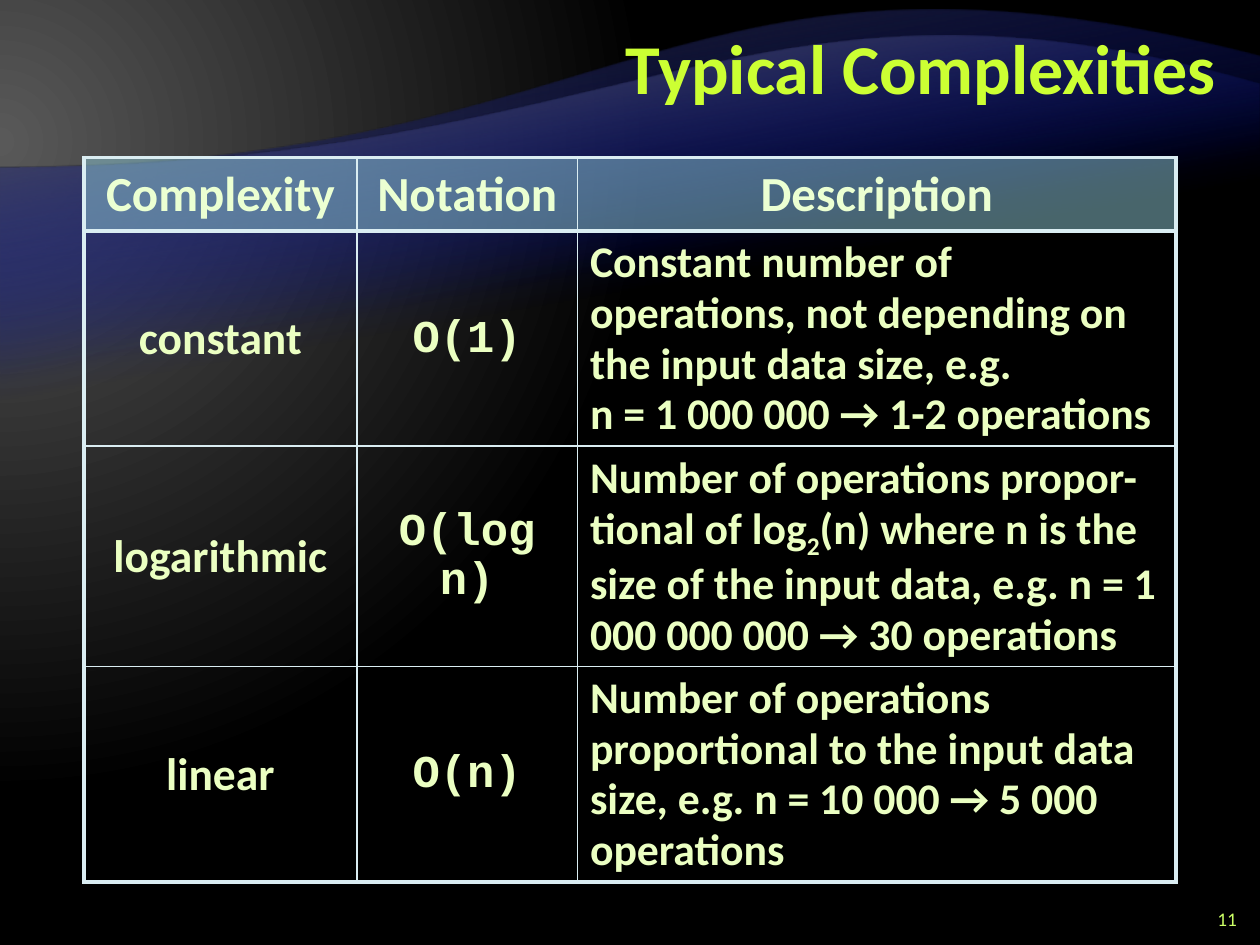
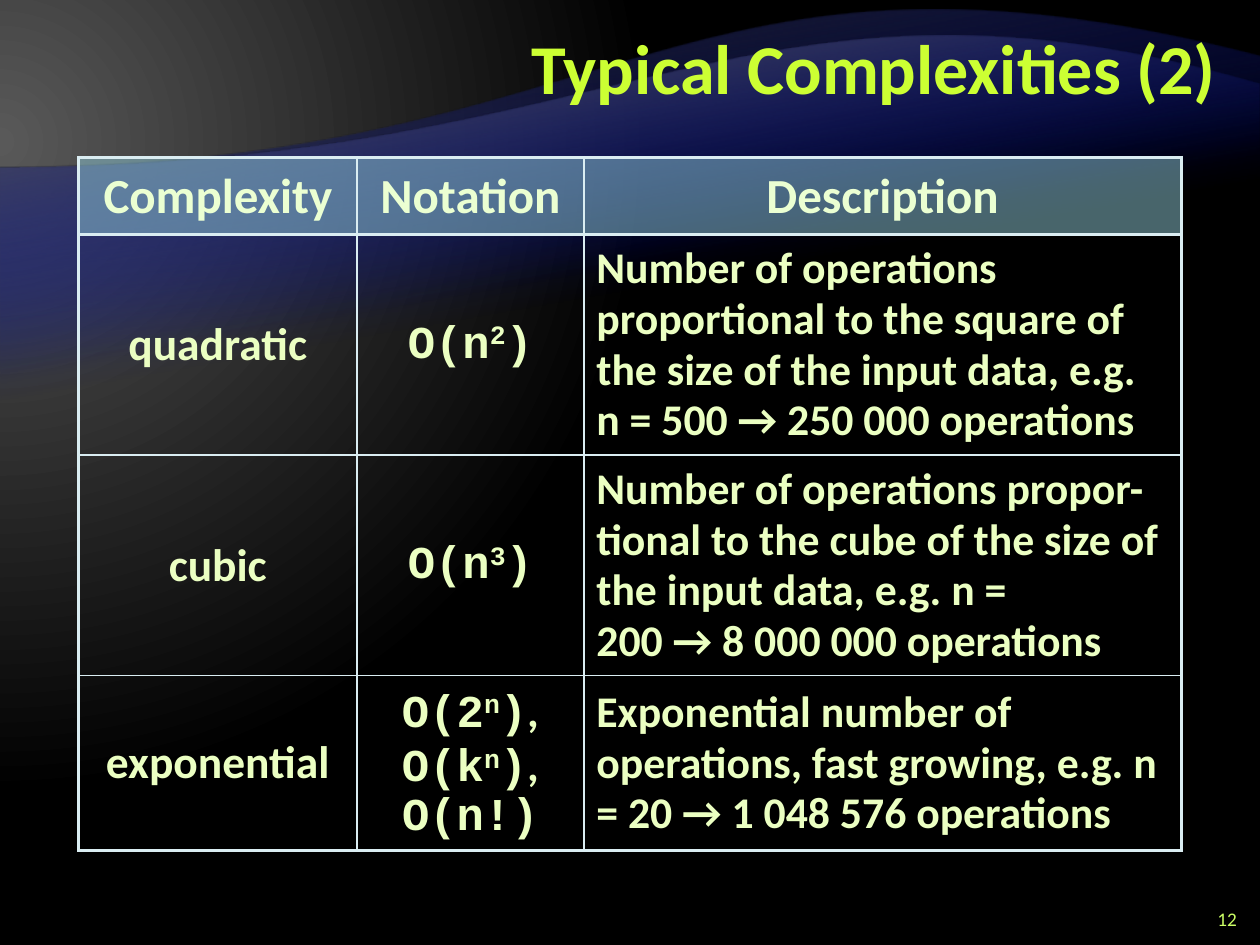
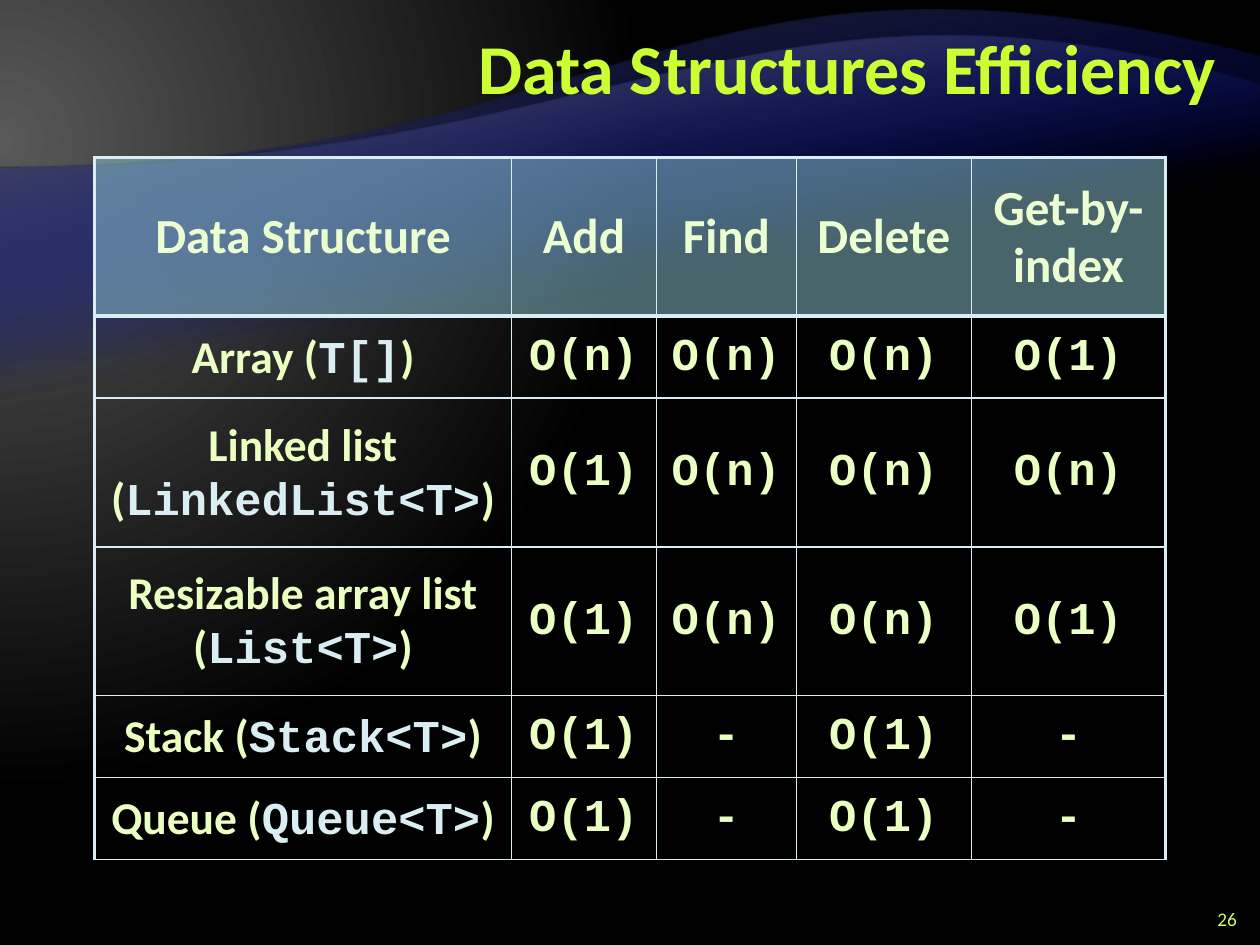
from dataclasses import dataclass

from lxml.etree import SubElement
from pptx import Presentation
from pptx.dml.color import RGBColor
from pptx.enum.text import MSO_ANCHOR as Anchor, PP_ALIGN as Align
from pptx.oxml import parse_xml
from pptx.oxml.ns import nsdecls, qn
from pptx.util import Pt


@dataclass(frozen=True)
class Theme:
    sans: str = "Calibri"
    mono: str = "Courier New"
    title: str = "CCFF33"
    number: str = "CCFF66"
    heading: str = "EBFFD2"
    body: str = "EBFFC2"
    ice: str = "DAEDF2"
    header_fill: str = "90CAD7"
    blue: str = "000D9E"
    dark_gray: str = "262626"
    gray: str = "595959"
    black: str = "000000"
    title_size: float = 40
    heading_size: float = 28
    body_size: float = 26
    detail_size: float = 25
    number_size: float = 11
    thick: float = 2.25
    thin: float = 1


theme = Theme()


def write(frame, text, align=Align.CENTER, spacing=0.95, **run_format):
    frame.word_wrap = True
    paragraphs = text if isinstance(text, list) else [text]
    for index, pieces in enumerate(paragraphs):
        paragraph = frame.add_paragraph() if index else frame.paragraphs[0]
        paragraph.alignment = align
        paragraph.line_spacing = spacing
        for piece in [pieces] if isinstance(pieces, str) else pieces:
            words, changes = (piece, {}) if isinstance(piece, str) else piece
            look = {"font": theme.sans, "bold": True, "baseline": 0, **run_format, **changes}
            run = paragraph.add_run()
            run.text = words
            run.font.name = look["font"]
            run.font.size = Pt(look["size"])
            run.font.bold = look["bold"]
            run.font.color.rgb = RGBColor.from_string(look["color"])
            if look["baseline"]:
                run.font._element.set("baseline", str(look["baseline"] * 1000))


def set_gradient(fill, stops, angle=0):
    fill.gradient()
    fill.gradient_angle = angle
    for stop, (position, color) in zip(fill.gradient_stops, stops):
        stop.position = position
        stop.color.rgb = RGBColor.from_string(color)


code = {"font": theme.mono, "color": theme.ice}
plain = {"font": theme.sans}
raised = {"baseline": 30}
lowered = {"baseline": -25}

name_format = {"size": theme.body_size, "color": theme.body}
notation_format = {**name_format, "font": theme.mono}
detail_format = {"size": theme.detail_size, "color": theme.body, "align": Align.LEFT}
heading_format = {"size": theme.heading_size, "color": theme.heading}
complexity_formats = [name_format, notation_format, detail_format]
complexity_headings = ["Complexity", "Notation", "Description"]

waves = [
    {"top": 32.4, "bottom": 470.2, "crest": (384.5, -54), "color": theme.dark_gray},
    {"top": 48.2, "bottom": 401, "crest": (430.6, -35.3), "color": theme.gray},
]

pages = [
    {
        "title": "Typical Complexities",
        "number": "11",
        "left": 48,
        "widths": [156, 126, 342],
        "heights": [42, 123, 126, 123],
        "formats": complexity_formats,
        "bottom_line": theme.thick,
        "rows": [
            complexity_headings,
            ["constant", "O(1)", [
                "Constant number of operations, not depending on the input data size, e.g.",
                "n = 1 000 000 → 1-2 operations"]],
            ["logarithmic", "O(log n)", [[
                "Number of operations propor-tional of log", ("2", lowered),
                "(n) where n is the size of the input data, e.g. n = 1 000 000 000 → 30 operations"]]],
            ["linear", "O(n)",
             "Number of operations proportional to the input data size, e.g. n = 10 000 → 5 000 operations"],
        ],
    },
    {
        "title": "Typical Complexities (2)",
        "number": "12",
        "left": 45,
        "widths": [159, 129.6, 341.4],
        "heights": [44, 126, 126, 100],
        "formats": complexity_formats,
        "bottom_line": theme.thick,
        "rows": [
            complexity_headings,
            ["quadratic", [["O(n", ("2", raised), ")"]],
             "Number of operations proportional to the square of the size of the input data, "
             "e.g. n = 500 → 250 000 operations"],
            ["cubic", [["O(n", ("3", raised), ")"]], [
                "Number of operations propor-tional to the cube of the size of the input data, e.g. n =",
                "200 → 8 000 000 operations"]],
            ["exponential",
             [[f"O({base}", ("n", raised), ")", (",", plain)] for base in "2k"] + ["O(n!)"],
             "Exponential number of operations, fast growing, e.g. n = 20 → 1 048 576 operations"],
        ],
    },
    {
        "title": "Data Structures Efficiency",
        "number": "26",
        "left": 54,
        "widths": [238.3, 82.8, 80, 100, 111],
        "heights": [90.7, 46.8, 85, 85, 46.8, 46.8],
        "formats": [name_format] + [notation_format] * 4,
        "bottom_line": theme.thin,
        "rows": [
            ["Data Structure", "Add", "Find", "Delete", "Get-by-index"],
            *([[[f"{name} (", (kind, code), ")"]], *costs] for name, kind, costs in [
                ("Array", "T[]", ["O(n)", "O(n)", "O(n)", "O(1)"]),
                ("Linked list", "LinkedList<T>", ["O(1)", "O(n)", "O(n)", "O(n)"]),
                ("Resizable array list", "List<T>", ["O(1)", "O(n)", "O(n)", "O(1)"]),
                ("Stack", "Stack<T>", ["O(1)", "-", "O(1)", "-"]),
                ("Queue", "Queue<T>", ["O(1)", "-", "O(1)", "-"]),
            ]),
        ],
    },
]

presentation = Presentation()
presentation.slide_width, presentation.slide_height = Pt(720), Pt(540)

master = presentation.slide_master
set_gradient(master.background.fill, [(0, theme.gray), (0.83, theme.black)])
linear = next(master.element.iter(qn("a:lin")))
linear.getparent().replace(linear, parse_xml(
    f'<a:path {nsdecls("a")} path="circle">'
    '<a:fillToRect l="20000" t="30000" r="135000" b="100000"/></a:path>'))

for page in pages:
    slide = presentation.slides.add_slide(presentation.slide_layouts[6])

    for wave in waves:
        top, bottom = wave["top"], wave["bottom"]
        builder = slide.shapes.build_freeform(Pt(720), Pt(bottom))
        builder.add_line_segments(
            [(Pt(0), Pt(bottom)), (Pt(0), Pt(96)), (Pt(720), Pt(top))], close=True)
        shape = builder.convert_to_shape()
        shape.shadow.inherit = False
        shape.line.fill.background()
        set_gradient(shape.fill, [(0.65, theme.blue), (1, wave["color"])], angle=100)
        SubElement(next(shape.element.iter(qn("a:srgbClr"))), qn("a:alpha"), val="0")
        edge = list(shape.element.iter(qn("a:lnTo")))[-1]
        curve = parse_xml(f'<a:cubicBezTo {nsdecls("a")}/>')
        for x, y in [(360, 96), wave["crest"], (720, top)]:
            SubElement(curve, qn("a:pt"), x=str(Pt(x)), y=str(Pt(y - top)))
        edge.getparent().replace(edge, curve)

    title = slide.shapes.add_textbox(Pt(144), Pt(6), Pt(558), Pt(72)).text_frame
    title.vertical_anchor = Anchor.MIDDLE
    write(title, page["title"], align=Align.RIGHT, spacing=Pt(40),
          size=theme.title_size, color=theme.title)

    number = slide.shapes.add_textbox(Pt(678), Pt(516), Pt(36), Pt(18)).text_frame
    number.vertical_anchor = Anchor.MIDDLE
    write(number, page["number"], align=Align.RIGHT, spacing=1.0,
          size=theme.number_size, color=theme.number, bold=False)

    widths, heights = page["widths"], page["heights"]
    last_row, last_column = len(heights) - 1, len(widths) - 1
    table = slide.shapes.add_table(
        len(heights), len(widths), Pt(page["left"]), Pt(90),
        Pt(sum(widths)), Pt(sum(heights))).table
    table.first_row = table.horz_banding = False
    for column, width in zip(table.columns, widths):
        column.width = Pt(width)

    for row_index, row in enumerate(page["rows"]):
        table.rows[row_index].height = Pt(heights[row_index])
        for column_index, text in enumerate(row):
            cell = table.cell(row_index, column_index)
            cell.vertical_anchor = Anchor.MIDDLE
            is_header = row_index == 0
            lower = page["bottom_line"] if row_index == last_row else theme.thin
            borders = {
                "L": theme.thick if column_index == 0 else theme.thin,
                "R": theme.thick if column_index == last_column else theme.thin,
                "T": theme.thick if row_index <= 1 else theme.thin,
                "B": theme.thick if is_header else lower,
            }
            properties = cell._tc.get_or_add_tcPr()
            for side, weight in borders.items():
                properties.append(parse_xml(
                    f'<a:ln{side} {nsdecls("a")} w="{Pt(weight)}"><a:solidFill>'
                    f'<a:srgbClr val="{theme.ice}"/></a:solidFill></a:ln{side}>'))
            if is_header:
                cell.fill.solid()
                cell.fill.fore_color.rgb = RGBColor.from_string(theme.header_fill)
                tint = properties.find(qn("a:solidFill")).find(qn("a:srgbClr"))
                SubElement(tint, qn("a:alpha"), val="50000")
            else:
                cell.fill.background()
            write(cell.text_frame, text,
                  **(heading_format if is_header else page["formats"][column_index]))

presentation.save("out.pptx")
